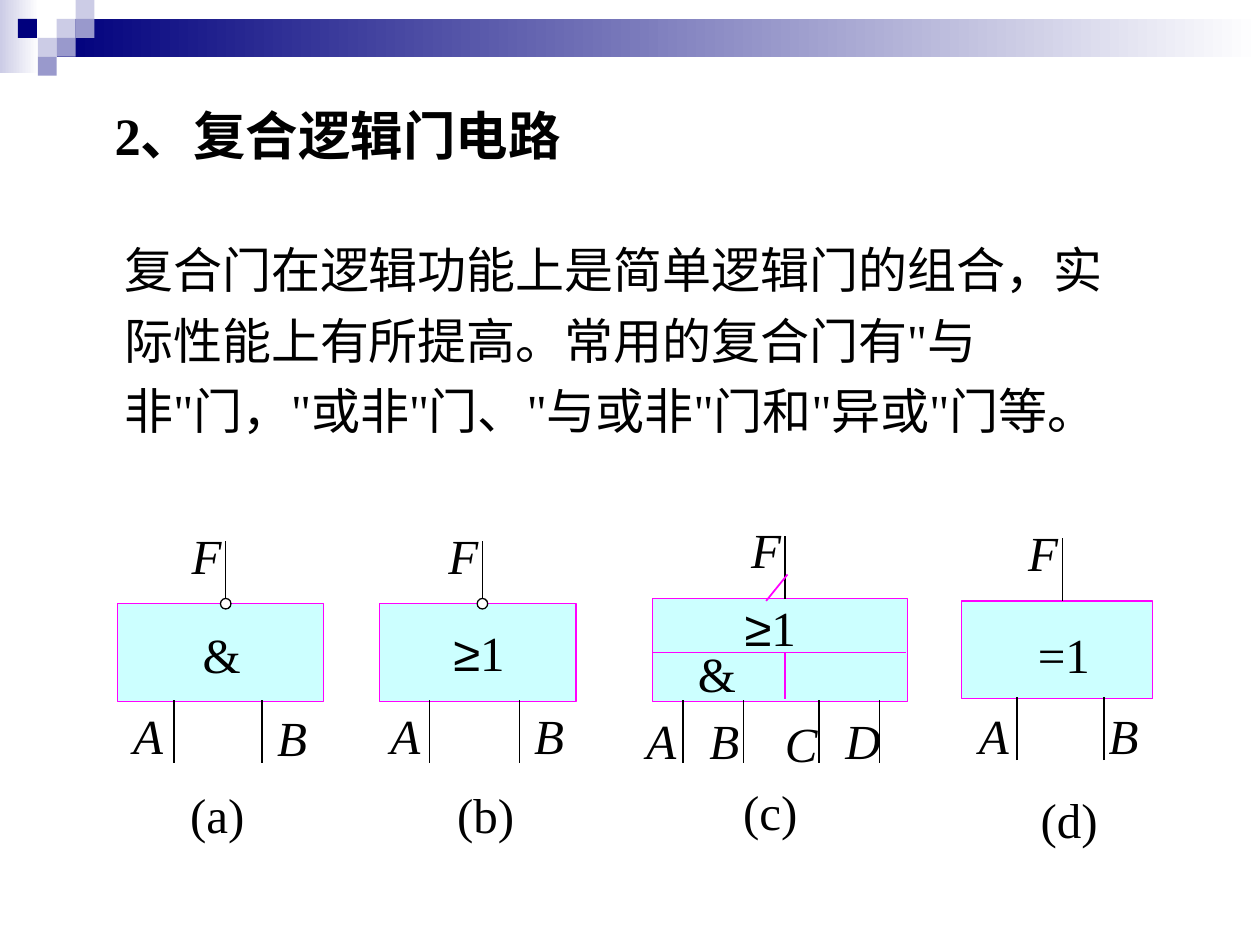
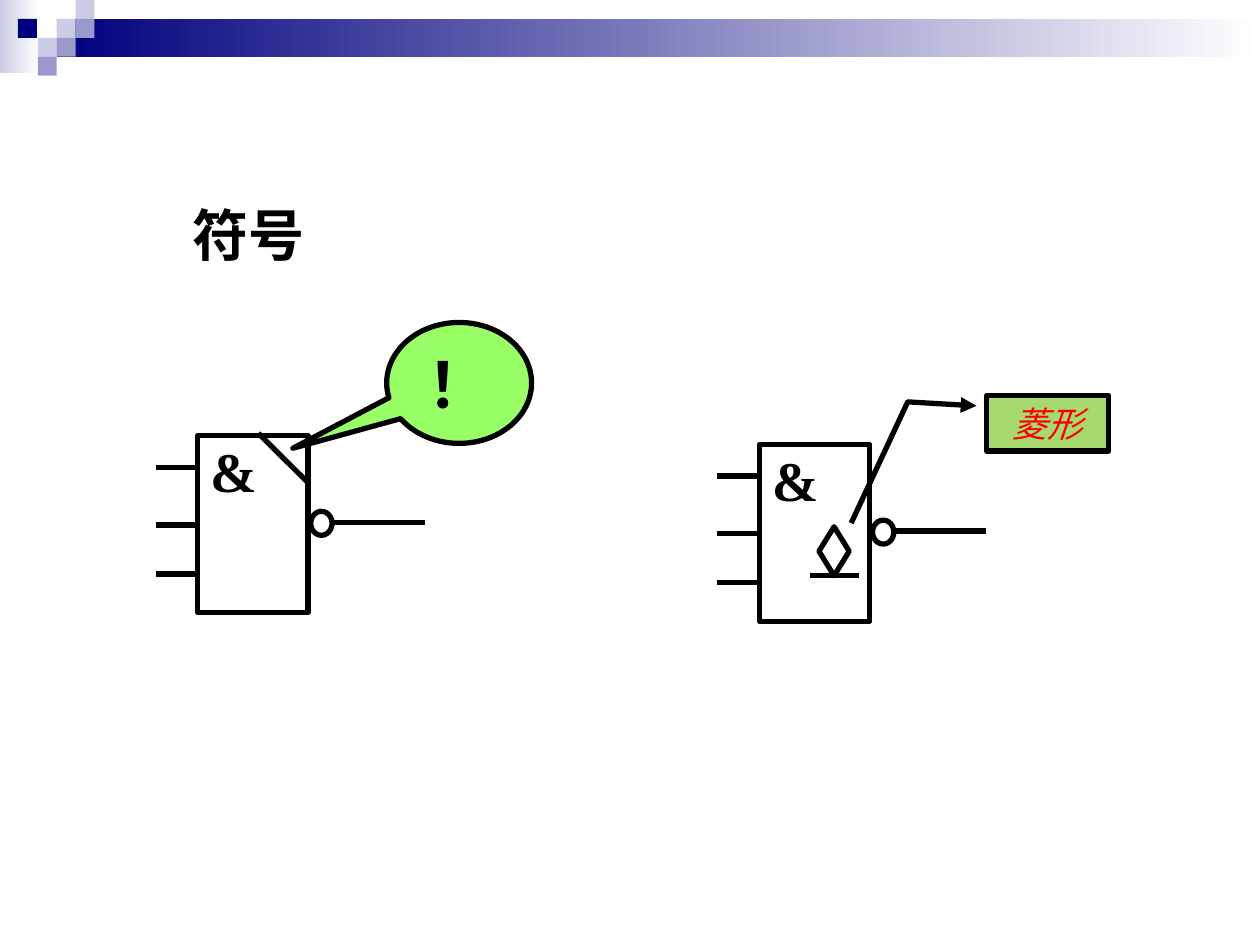
from lxml.etree import SubElement
from pptx import Presentation
from pptx.dml.color import RGBColor
from pptx.enum.shapes import MSO_CONNECTOR, MSO_SHAPE
from pptx.enum.text import MSO_ANCHOR, MSO_AUTO_SIZE, PP_ALIGN
from pptx.oxml.ns import qn
from pptx.util import Pt

SERIF, SANS = "Times New Roman", "Arial"
BLACK, WHITE, RED = "000000", "FFFFFF", "FF0000"
NAVY, LILAC, MIST = "00007D", "9999CC", "CCCCE6"
PINK, AQUA = "FF00FF", "CCFFFF"
LIME, LEAF = "99FF66", "A7D971"
TILE = 10.8
THIN, THICK = 0.75, 3


def color(code):
    return RGBColor.from_string(code)


def points(*values):
    return [Pt(value) for value in values]


# Basic parts
def style(font, size, ink=BLACK, bold=False, italic=False, name=SERIF):
    font.name, font.size = name, Pt(size)
    font.bold, font.italic = bold, italic
    font.color.rgb = color(ink)


def shape(slide, kind, box, fill=None, ink=None, width=THIN):
    item = slide.shapes.add_shape(kind, *points(*box))
    item.shadow.inherit = False
    if fill:
        item.fill.solid()
        item.fill.fore_color.rgb = color(fill)
    else:
        item.fill.background()
    if ink:
        item.line.color.rgb = color(ink)
        item.line.width = Pt(width)
    else:
        item.line.fill.background()
    return item


def line(slide, x1, y1, x2, y2, ink=BLACK, width=THIN):
    item = slide.shapes.add_connector(
        MSO_CONNECTOR.STRAIGHT, *points(x1, y1, x2, y2))
    item.line.color.rgb = color(ink)
    item.line.width = Pt(width)
    SubElement(item._element.spPr, qn("a:effectLst"))


def label(slide, text, box, size=28, **look):
    frame = slide.shapes.add_textbox(*points(*box)).text_frame
    frame.word_wrap = True
    para = frame.paragraphs[0]
    para.text = text
    style(para.font, size, **look)
    return para


# Shared top band and title
def band(slide):
    fades = [((0, 0, 22.3, 41.8), MIST),
             ((3 * TILE, TILE, 720 - 3 * TILE, 2 * TILE), NAVY)]
    for box, start in fades:
        fill = shape(slide, MSO_SHAPE.RECTANGLE, box).fill
        fill.gradient()
        fill.gradient_angle = 0
        for stop, code in zip(fill.gradient_stops, (start, WHITE)):
            stop.color.rgb = color(code)
    tiles = [(3, 1, MIST), (4, 0, MIST), (4, 1, LILAC), (2, 2, MIST),
             (0.95, 1, NAVY), (3, 2, LILAC), (2, 3, LILAC)]
    for col, row, code in tiles:
        box = (col * TILE, row * TILE, TILE, TILE)
        shape(slide, MSO_SHAPE.RECTANGLE, box, code)


def start(deck, text, box, size):
    slide = deck.slides.add_slide(deck.slide_layouts[5])
    band(slide)
    title = slide.shapes.title
    title.left, title.top, title.width, title.height = points(*box)
    frame = title.text_frame
    frame.text = text
    frame.auto_size = MSO_AUTO_SIZE.NONE
    frame.vertical_anchor = MSO_ANCHOR.TOP
    para = frame.paragraphs[0]
    para.alignment = PP_ALIGN.LEFT
    style(para.font, size, bold=True)
    return slide


# Gate with an output stem on top and input pins below
def gate(slide, box, stem, pins, note, bubble=False):
    x, y, wide, high = box
    shape(slide, MSO_SHAPE.RECTANGLE, box, AQUA, PINK)
    line(slide, x + stem, y, x + stem, y - 36)
    label(slide, "F", (x + stem - 26.5, y - 48.5, 36, 41), italic=True)
    for name, pin, left, top in pins:
        line(slide, x + pin, y + high + 35, x + pin, y + high - 1)
        label(slide, name, (x + left, y + high + top, 40, 41), italic=True)
    text, left, top = note
    label(slide, text, (x + left, y + top, 56, 41))
    if bubble:
        shape(slide, MSO_SHAPE.OVAL, (x + stem - 3, y - 3, 6, 6),
              WHITE, BLACK)


def least(slide, left, top):
    para = label(slide, "≥", (left, top, 56, 41))
    para.runs[0].font.name = SANS
    para.add_run().text = "1"


def split(slide, x, y, wide):
    """Inner parts of the AND-OR-NOT gate."""
    line(slide, x - 0.5, y + 31, x + wide - 0.5, y + 31, PINK)
    line(slide, x + 75.6, y + 31, x + 75.6, y + 57.6, PINK)
    line(slide, x + 77, y - 13.7, x + 64.8, y + 1.4, PINK, 1)
    label(slide, "&", (x + 18.7, y + 22.3, 42, 41))


def gates(slide):
    nand, nor = (67, 345, 118, 56), (216.7, 345, 112.4, 56)
    mixed, differ = (373, 342, 145.4, 59), (549.4, 343.4, 109.4, 56)
    gate(slide, nand, 62, [("A", 32.4, 2, -1.4), ("B", 82.8, 84.2, 0)],
         ("(a)", 34.6, 100), True)
    label(slide, "&", (108.7, 353.5, 42, 41))
    gate(slide, nor, 59, [("A", 28.8, -0.7, -1.4), ("B", 80, 81.4, -1.4)],
         ("(b)", 37.4, 100), True)
    least(slide, 252, 352)
    gate(slide, mixed, 75.6,
         [("A", 17.3, -10.8, 1.4), ("B", 51.8, 25.2, 1.4),
          ("C", 95, 68.4, 2.9), ("D", 129.6, 103, 1.4)],
         ("(c)", 44.6, 100.8))
    least(slide, 418.4, 337.7)
    split(slide, *mixed[:3])
    gate(slide, differ, 57.6, [("A", 31.7, 2.9, 0), ("B", 81.4, 77, 0)],
         ("(d)", 38.2, 104.4))
    label(slide, "=1", (586, 353.5, 50, 41))


# Chip symbol with three inputs and an inverted output
def chip(slide, x, y):
    shape(slide, MSO_SHAPE.RECTANGLE, (x, y, 63, 101), None, BLACK, THICK)
    shape(slide, MSO_SHAPE.OVAL, (x + 64.6, y + 43.2, 12.2, 13.7),
          None, BLACK, THICK)
    label(slide, "&", (x, y - 3, 45, 46), 32, bold=True)
    for pin in (18, 51, 79):
        line(slide, x - 24, y + pin, x, y + pin, width=THICK)
    line(slide, x + 75.6, y + 49.5, x + 129.6, y + 49.5, width=THICK)


def callout(slide, kind, box, fill, bends, text, size, **look):
    item = shape(slide, kind, box, fill, BLACK, THICK)
    for spot, bend in enumerate(bends):
        item.adjustments[spot] = bend
    frame = item.text_frame
    frame.word_wrap = False
    frame.vertical_anchor = MSO_ANCHOR.MIDDLE
    para = frame.paragraphs[0]
    para.text = text
    para.alignment = PP_ALIGN.CENTER
    style(para.font, size, **look)
    return item


def symbols(slide):
    # Notched chip
    x, y = 113, 249
    chip(slide, x, y)
    line(slide, x + 34.6, y - 1.4, x + 63, y + 26.8, width=THICK)
    callout(slide, MSO_SHAPE.OVAL_CALLOUT, (221, 184.3, 82.8, 69.1), LIME,
            (-1.148, 0.54), "！", 36, bold=True)
    # Chip with a diamond
    x, y = 434, 254
    chip(slide, x, y)
    shape(slide, MSO_SHAPE.DIAMOND, (x + 34, y + 47, 17.3, 28),
          None, BLACK, THICK)
    line(slide, x + 28.8, y + 75, x + 57, y + 75, width=THICK)
    tag = callout(slide, MSO_SHAPE.LINE_CALLOUT_2, (563.8, 226, 69.8, 31.7),
                  LEAF, (0.188, -0.083, 0.116, -0.646, 2.301, -1.109),
                  "菱形", 20, ink=RED, italic=True)
    SubElement(tag.line._get_or_add_ln(), qn("a:headEnd"), type="triangle")


def main():
    deck = Presentation()
    deck.slide_width, deck.slide_height = points(720, 540)

    slide = start(deck, "2、复合逻辑门电路", (58.3, 55.4, 496.8, 43.2), 30)
    para = label(
        slide,
        '复合门在逻辑功能上是简单逻辑门的组合，实际性能上有所提高。'
        '常用的复合门有"与非"门，"或非"门、"与或非"门和"异或"门等。',
        (64, 126.7, 580.3, 168.5))
    para.line_spacing = 1.2
    gates(slide)

    symbols(start(deck, "符号", (103, 110.9, 136.8, 46), 32))
    deck.save("out.pptx")


if __name__ == "__main__":
    main()
